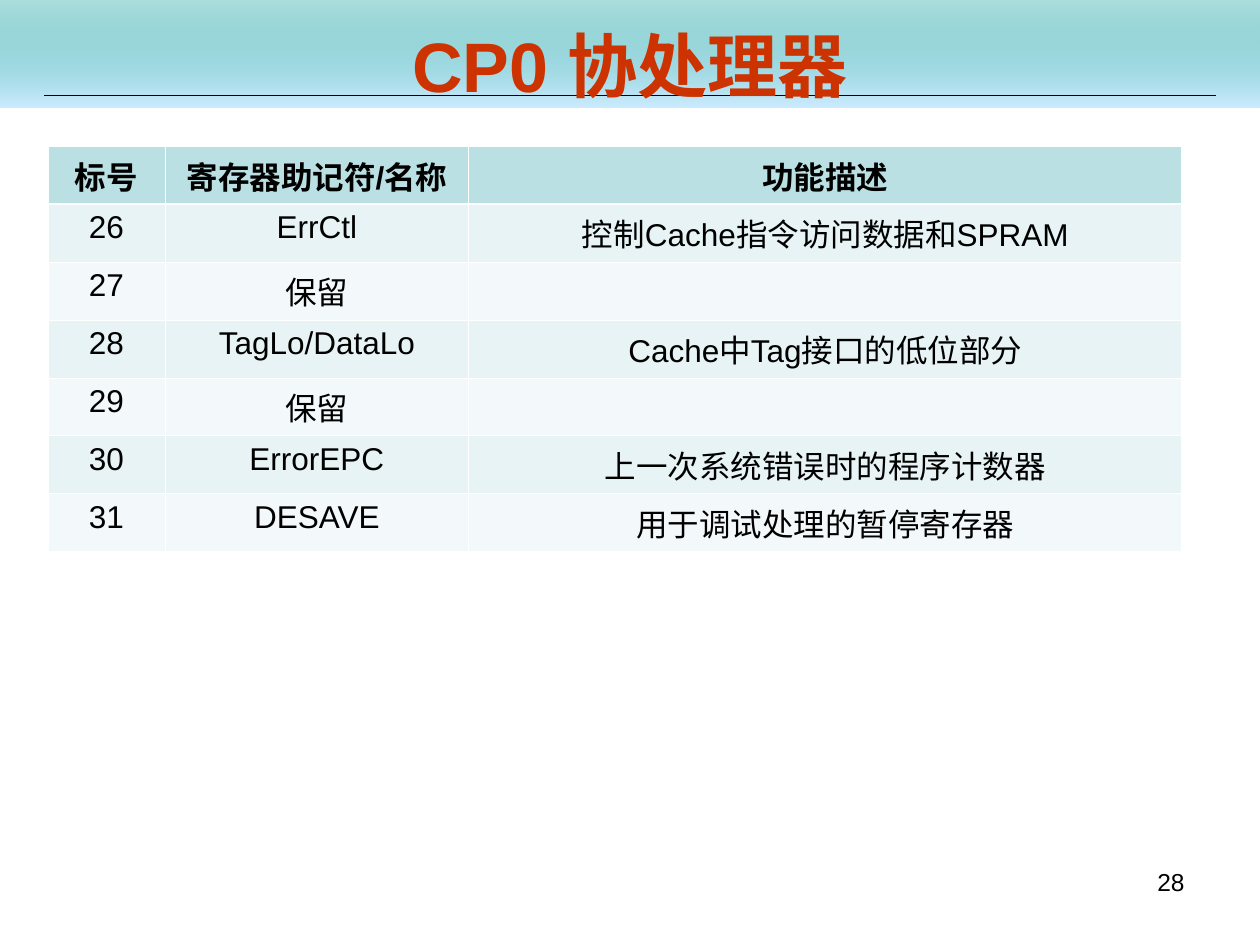
from lxml.etree import SubElement
from pptx import Presentation
from pptx.dml.color import RGBColor
from pptx.enum.shapes import MSO_CONNECTOR as Connector, MSO_SHAPE as Shape
from pptx.enum.text import MSO_ANCHOR as Anchor, PP_ALIGN as Align
from pptx.oxml.ns import qn
from pptx.util import Inches, Pt

COLORS = {
    "teal": "009999", "sky": "CCECFF", "title": "CC3300", "text": "000000",
    "border": "FFFFFF", "header": "BBE0E3", "odd": "E7F3F4", "even": "F3F9FA",
}
ROWS = [
    ("标号", "寄存器助记符/名称", "功能描述"),
    ("26", "ErrCtl", "控制Cache指令访问数据和SPRAM"),
    ("27", "保留", ""),
    ("28", "TagLo/DataLo", "Cache中Tag接口的低位部分"),
    ("29", "保留", ""),
    ("30", "ErrorEPC", "上一次系统错误时的程序计数器"),
    ("31", "DESAVE", "用于调试处理的暂停寄存器"),
]
COLUMN_WIDTHS = (0.93, 2.41, 5.66)
ROW_HEIGHT = 0.46


def color(name):
    return RGBColor.from_string(COLORS[name])


def write(frame, text, size=18, fill="text", bold=False, align=Align.CENTER):
    paragraph = frame.paragraphs[0]
    paragraph.alignment = align
    paragraph.font.size = Pt(size)
    if text:
        run = paragraph.add_run()
        run.text = text
        run.font.name = "Arial"
        run.font.size = Pt(size)
        run.font.bold = bold
        run.font.color.rgb = color(fill)


class SlideBuilder:
    """Adds styled elements to one slide."""

    def __init__(self, slide):
        self.slide = slide

    def band(self, left, top, width, height):
        shape = self.slide.shapes.add_shape(
            Shape.RECTANGLE, Inches(left), Inches(top), Inches(width), Inches(height))
        shape.shadow.inherit = False
        shape.line.fill.background()
        shape.fill.gradient()
        shape.fill.gradient_angle = 270
        for stop, name, position in zip(shape.fill.gradient_stops, ("teal", "sky"), (0, 1)):
            stop.color.rgb = color(name)
            stop.position = position
        start = next(shape.element.spPr.iter(qn("a:srgbClr")))
        SubElement(start, qn("a:alpha"), val="32000")

    def rule(self, left, right, y):
        line = self.slide.shapes.add_connector(
            Connector.STRAIGHT, Inches(left), Inches(y), Inches(right), Inches(y))
        line.line.color.rgb = color("text")
        line.line.width = Pt(0.75)
        SubElement(line.element.spPr, qn("a:effectLst"))

    def text(self, text, left, top, width, height, anchor=Anchor.TOP, **style):
        box = self.slide.shapes.add_textbox(
            Inches(left), Inches(top), Inches(width), Inches(height))
        box.text_frame.word_wrap = True
        box.text_frame.vertical_anchor = anchor
        write(box.text_frame, text, **style)

    def borders(self, cell, **widths):
        properties = cell._tc.get_or_add_tcPr()
        for side in "LRTB":
            line = SubElement(properties, qn(f"a:ln{side}"), w=str(Pt(widths.get(side, 0.45))))
            fill = SubElement(line, qn("a:solidFill"))
            SubElement(fill, qn("a:srgbClr"), val=COLORS["border"])

    def table(self, rows, left, top, widths, row_height):
        table = self.slide.shapes.add_table(
            len(rows), len(widths), Inches(left), Inches(top),
            Inches(sum(widths)), Inches(row_height * len(rows))).table
        for column, width in zip(table.columns, widths):
            column.width = Inches(width)
        for r, values in enumerate(rows):
            background = "header" if r == 0 else ("even", "odd")[r % 2]
            heavy = {0: {"B": 1.47}, 1: {"T": 1.47}}.get(r, {})
            for c, value in enumerate(values):
                cell = table.cell(r, c)
                self.borders(cell, **heavy)
                cell.fill.solid()
                cell.fill.fore_color.rgb = color(background)
                write(cell.text_frame, value, bold=r == 0)


def main():
    presentation = Presentation()
    presentation.slide_width = Inches(10)
    presentation.slide_height = Inches(7.5)
    builder = SlideBuilder(presentation.slides.add_slide(presentation.slide_layouts[6]))
    builder.band(0, 0, 10, 0.85)
    builder.rule(0.35, 9.65, 0.76)
    builder.text("CP0 协处理器", 0.5, 0.21, 9, 0.61, anchor=Anchor.MIDDLE,
                 size=40, fill="title", bold=True)
    builder.table(ROWS, 0.38, 1.16, COLUMN_WIDTHS, ROW_HEIGHT)
    builder.text("28", 7.17, 6.83, 2.33, 0.52, size=14, align=Align.RIGHT)
    presentation.save("out.pptx")


if __name__ == "__main__":
    main()
